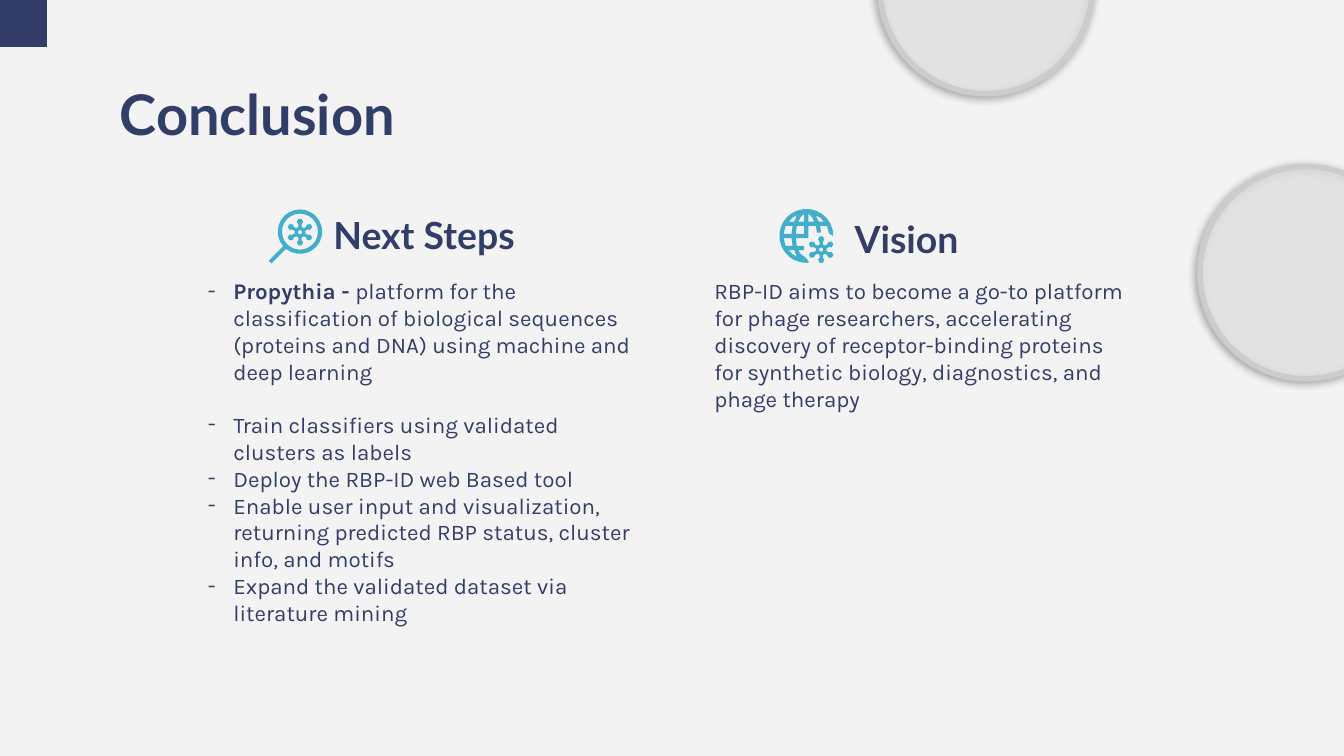
import math
from dataclasses import dataclass
from typing import Any, Optional

import lxml.etree
import pptx
import pptx.dml.color
import pptx.enum.shapes
import pptx.enum.text
import pptx.oxml.ns
import pptx.util

Cm = pptx.util.Cm
Pt = pptx.util.Pt
Kind = pptx.enum.shapes.MSO_SHAPE
Align = pptx.enum.text.PP_ALIGN
Anchor = pptx.enum.text.MSO_ANCHOR
qn = pptx.oxml.ns.qn
Outline = list[tuple[float, float]]


@dataclass(frozen=True)
class Theme:
    navy: str = "323E68"
    teal: str = "43AECC"
    paper: str = "F3F3F3"
    white: str = "FFFFFF"
    rim: str = "CCCCCC"
    shade: str = "191919"
    heading_font: str = "Lato"
    body_font: str = "Karla"
    title_size: float = 30
    heading_size: float = 20
    body_size: float = 12
    rim_stroke: float = 3


THEME = Theme()


@dataclass(frozen=True)
class Area:
    left: float
    top: float
    width: float
    height: float

    def lengths(self) -> list[Any]:
        return [Cm(v) for v in (self.left, self.top, self.width, self.height)]


@dataclass(frozen=True)
class Heading:
    text: str
    area: Area
    align: Any


@dataclass(frozen=True)
class Item:
    text: str
    lead: str = ""
    bullet: bool = False
    gap: float = 0


@dataclass(frozen=True)
class Body:
    area: Area
    items: tuple[Item, ...]


HEADINGS = (
    Heading("Next Steps", Area(5.62, 3.64, 6.65, 1.47), Align.LEFT),
    Heading("Vision", Area(13.25, 3.71, 7.34, 1.47), Align.CENTER),
)
BODIES = (
    Body(Area(3.68, 4.99, 8.66, 7.21), (
        Item(" platform for the classification of biological sequences "
             "(proteins and DNA) using machine and deep learning", "Propythia -", True),
        Item("Train classifiers using validated clusters as labels", "", True, 14),
        Item("Deploy the RBP-ID web Based tool", "", True),
        Item("Enable user input and visualization, returning predicted RBP status, "
             "cluster info, and motifs", "", True),
        Item("Expand the validated dataset via literature mining", "", True),
    )),
    Body(Area(13.25, 4.99, 8.23, 2.84), (
        Item("RBP-ID aims to become a go-to platform for phage researchers, accelerating "
             "discovery of receptor-binding proteins for synthetic biology, diagnostics, "
             "and phage therapy"),
    )),
)
DISCS = (Area(16.63, -2.24, 4.01, 4.01), Area(22.68, 3.15, 4.01, 4.01))

SPIKE: Outline = [(0.1, -0.03), (0.15, -0.03), (0.19, -0.06), (0.25, -0.03),
                  (0.25, 0.03), (0.19, 0.06), (0.15, 0.03), (0.1, 0.03)]
HANDLE: Outline = [(-0.54, 0.6), (-0.59, 0.55)]
GLOBE_BITE: Outline = [(0.05, 0.5), (0, 0.42), (-0.11, 0.34), (-0.15, 0.27), (-0.04, 0.27),
                       (-0.04, 0.19), (-0.18, 0.19), (-0.2, 0.04), (0.04, 0.04),
                       (0.04, -0.19), (0.18, -0.19), (0.2, -0.06), (0.28, -0.06),
                       (0.26, -0.19), (0.39, -0.19), (0.43, -0.04)]
CORNER_PANE: Outline = [(-0.18, -0.39), (-0.23, -0.27), (-0.33, -0.27), (-0.27, -0.34)]
TOP_PANE: Outline = [(-0.04, -0.42), (-0.04, -0.27), (-0.15, -0.27), (-0.11, -0.35)]
SIDE_PANE: Outline = [(-0.26, -0.19), (-0.28, -0.04), (-0.43, -0.04), (-0.39, -0.19)]
CENTER_PANE: Outline = [(-0.04, -0.19), (-0.04, -0.04), (-0.2, -0.04), (-0.18, -0.19)]


def rgb(value: str) -> Any:
    return pptx.dml.color.RGBColor.from_string(value)


def apply(target: Any, values: dict[str, Any]) -> None:
    for name, value in values.items():
        setattr(target, name, value)


def paint(shape: Any, fill: str, line: Optional[str] = None, stroke: float = 0) -> None:
    shape.shadow.inherit = False
    shape.fill.solid()
    shape.fill.fore_color.rgb = rgb(fill)
    if line:
        shape.line.color.rgb = rgb(line)
        shape.line.width = Pt(stroke)
    else:
        shape.line.fill.background()


def add_disc(shapes: Any, area: Area) -> None:
    disc = shapes.add_shape(Kind.OVAL, *area.lengths())
    paint(disc, THEME.white, THEME.rim, THEME.rim_stroke)
    properties = disc._element.spPr
    color = properties.find(qn("a:solidFill"))[0]
    lxml.etree.SubElement(color, qn("a:alpha"), val="53000")
    effects = properties.find(qn("a:effectLst"))
    shadow = lxml.etree.SubElement(effects, qn("a:outerShdw"), blurRad=str(Pt(4.5)),
                                   dist=str(Pt(1.5)), dir=str(138 * 60000),
                                   algn="bl", rotWithShape="0")
    tint = lxml.etree.SubElement(shadow, qn("a:srgbClr"), val=THEME.shade)
    lxml.etree.SubElement(tint, qn("a:alpha"), val="42000")


def arc(radius: float, start: float, end: float, steps: int) -> Outline:
    angles = [math.radians(start + (end - start) * i / steps) for i in range(steps + 1)]
    return [(radius * math.cos(a), radius * math.sin(a)) for a in angles]


def shift(outline: Outline, x: float, y: float) -> Outline:
    return [(px + x, py + y) for px, py in outline]


def mirror(outline: Outline, x: int, y: int) -> Outline:
    return [(px * x, py * y) for px, py in outline]


def virus(x: float, y: float) -> list[Outline]:
    body: Outline = []
    for step in range(6):
        angle = math.radians(90 + 60 * step)
        cos, sin = math.cos(angle), math.sin(angle)
        body += [(r * cos - t * sin, r * sin + t * cos) for r, t in SPIKE]
    return [shift(body, x, y), shift(arc(0.04, 0, 360, 8), x, y)]


def magnifier() -> list[Outline]:
    return [arc(0.42, 139, 489, 24) + HANDLE, arc(0.34, 0, 360, 24), *virus(0, 0.01)]


def globe() -> list[Outline]:
    panes = [CORNER_PANE, mirror(CORNER_PANE, -1, 1), mirror(CORNER_PANE, 1, -1),
             TOP_PANE, mirror(TOP_PANE, -1, 1),
             SIDE_PANE, mirror(SIDE_PANE, 1, -1), CENTER_PANE]
    return [arc(0.51, 0, -270, 20) + GLOBE_BITE, *panes, *virus(0.28, 0.26)]


def add_icon(shapes: Any, x: float, y: float, outlines: list[Outline]) -> None:
    placed = [[(Cm(px), Cm(py)) for px, py in shift(outline, x, y)] for outline in outlines]
    builder = shapes.build_freeform(*placed[0][0])
    for index, points in enumerate(placed):
        if index:
            builder.move_to(*points[0])
        builder.add_line_segments(points[1:], close=True)
    paint(builder.convert_to_shape(), THEME.teal)


def format_frame(frame: Any, anchor: Any) -> None:
    inset = frame.margin_left
    apply(frame, {"word_wrap": True, "auto_size": pptx.enum.text.MSO_AUTO_SIZE.NONE,
                  "vertical_anchor": anchor, "margin_top": inset, "margin_bottom": inset})


def add_span(para: Any, text: str, name: str, size: float, bold: bool) -> None:
    span = para.add_run()
    span.text = text
    apply(span.font, {"name": name, "size": Pt(size), "bold": bold})
    span.font.color.rgb = rgb(THEME.navy)


def set_indent(para: Any, left: float, first: float) -> Any:
    properties = para._p.get_or_add_pPr()
    properties.set("marL", str(Cm(left)))
    properties.set("indent", str(Cm(first)))
    return properties


def add_heading(shapes: Any, heading: Heading) -> None:
    box = shapes.add_textbox(*heading.area.lengths())
    format_frame(box.text_frame, Anchor.BOTTOM)
    para = box.text_frame.paragraphs[0]
    para.alignment = heading.align
    set_indent(para, 1.27, -0.84)
    add_span(para, heading.text, THEME.heading_font, THEME.heading_size, True)


def add_body(shapes: Any, body: Body) -> None:
    frame = shapes.add_textbox(*body.area.lengths()).text_frame
    format_frame(frame, Anchor.TOP)
    for index, item in enumerate(body.items):
        para = frame.add_paragraph() if index else frame.paragraphs[0]
        if item.bullet:
            properties = set_indent(para, 0.48, -0.48)
            color = lxml.etree.SubElement(properties, qn("a:buClr"))
            lxml.etree.SubElement(color, qn("a:srgbClr"), val=THEME.navy)
            lxml.etree.SubElement(properties, qn("a:buFont"), typeface=THEME.body_font)
            lxml.etree.SubElement(properties, qn("a:buChar"), char="-")
        if item.gap:
            para.space_before = Pt(item.gap)
        if item.lead:
            add_span(para, item.lead, THEME.body_font, THEME.body_size, True)
        add_span(para, item.text, THEME.body_font, THEME.body_size, False)


def add_title(page: Any, text: str, area: Area) -> None:
    title = page.shapes.title
    apply(title, dict(zip(("left", "top", "width", "height"), area.lengths())))
    format_frame(title.text_frame, Anchor.TOP)
    para = title.text_frame.paragraphs[0]
    para.alignment = Align.LEFT
    add_span(para, text, THEME.heading_font, THEME.title_size, True)


def main() -> None:
    deck = pptx.Presentation()
    apply(deck, {"slide_width": Cm(25.4), "slide_height": Cm(14.29)})
    page = deck.slides.add_slide(deck.slide_layouts[5])
    page.background.fill.solid()
    page.background.fill.fore_color.rgb = rgb(THEME.paper)
    paint(page.shapes.add_shape(Kind.RECTANGLE, *Area(0, 0, 0.89, 0.89).lengths()), THEME.navy)
    for disc in DISCS:
        add_disc(page.shapes, disc)
    add_title(page, "Conclusion", Area(2.01, 1.24, 21.41, 1.6))
    for heading in HEADINGS:
        add_heading(page.shapes, heading)
    for body in BODIES:
        add_body(page.shapes, body)
    add_icon(page.shapes, 5.67, 4.38, magnifier())
    add_icon(page.shapes, 15.24, 4.46, globe())
    deck.save("out.pptx")


if __name__ == "__main__":
    main()
